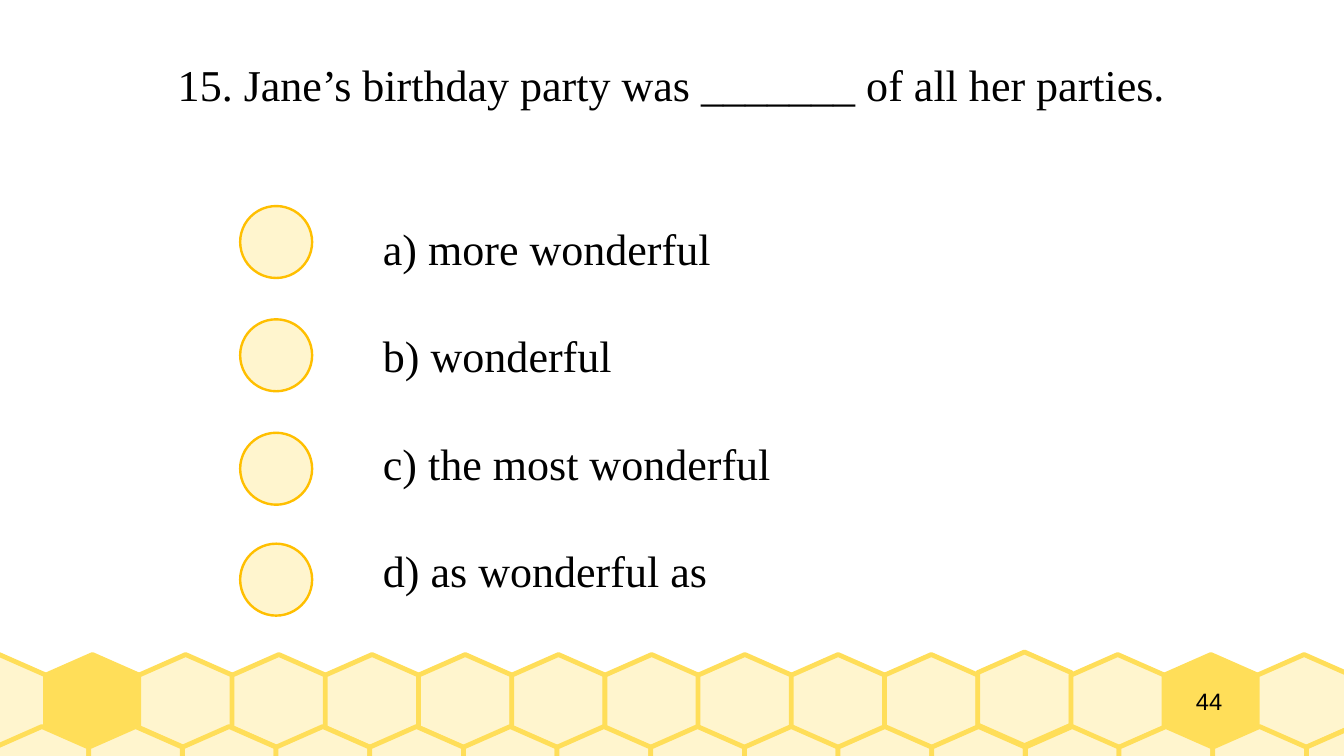
from lxml.etree import SubElement
from pptx import Presentation
from pptx.dml.color import RGBColor
from pptx.enum.shapes import MSO_SHAPE as Shape
from pptx.enum.text import MSO_ANCHOR as Anchor, MSO_AUTO_SIZE as AutoSize, PP_ALIGN as Align
from pptx.oxml.ns import qn
from pptx.util import Pt

QUESTION = "15. Jane’s birthday party was _______ of all her parties."
# (answer, top of its circle)
ANSWERS = [
    ("a) more wonderful", 121.7),
    ("b) wonderful", 188.6),
    ("c) the most wonderful", 255.6),
    ("d) as wonderful as", 321.1),
]
PAGE_NUMBER = "44"

BLACK = RGBColor(0x00, 0x00, 0x00)
CREAM = RGBColor(0xFF, 0xF5, 0xCE)
HONEY = RGBColor(0xFF, 0xDE, 0x59)
AMBER = RGBColor(0xFF, 0xBF, 0x00)

CELL_SIZE, CELL_SHOULDER = 55.3, 12.2
CELLS_PER_ROW = 15
# (left, top, pitch, filled cells, raised cells)
COMB_ROWS = [
    (-28.1, 386.6, 55.03, {1, 13}, {11}),
    (-2.9, 429.1, 55.3, set(), set()),
]
CELL_RAISE = 1.5


def paint(shape, fill, line, width):
    shape.shadow.inherit = False
    shape.fill.solid()
    shape.fill.fore_color.rgb = fill
    shape.line.color.rgb = line
    shape.line.width = Pt(width)


def add_cell(page, left, top, fill):
    middle, right = left + CELL_SIZE / 2, left + CELL_SIZE
    upper, bottom = top + CELL_SHOULDER, top + CELL_SIZE
    lower = bottom - CELL_SHOULDER
    corners = [(left, upper), (left, lower), (middle, bottom), (right, lower), (right, upper)]
    builder = page.shapes.build_freeform(Pt(middle), Pt(top))
    builder.add_line_segments([(Pt(x), Pt(y)) for x, y in corners], close=True)
    paint(builder.convert_to_shape(), fill, HONEY, 2.83)


def place(box, left, top, width, height):
    box.left, box.top, box.width, box.height = Pt(left), Pt(top), Pt(width), Pt(height)


def write(box, lines, font, size, align, anchor):
    frame = box.text_frame
    frame.text = "\n".join(lines)
    frame.word_wrap = True
    frame.auto_size = AutoSize.NONE
    frame.vertical_anchor = anchor
    frame.margin_left = frame.margin_right = frame.margin_top = frame.margin_bottom = 0
    for para in frame.paragraphs:
        para.alignment = align
        para.space_before = Pt(0)
        for span in para.runs:
            span.font.name, span.font.size = font, Pt(size)
            span.font.color.rgb = BLACK


deck = Presentation()
deck.slide_width, deck.slide_height = Pt(793.5), Pt(446.5)
page = deck.slides.add_slide(deck.slide_layouts[1])

for left, top, pitch, filled, raised in COMB_ROWS:
    for index in range(CELLS_PER_ROW):
        cell_top = top - CELL_RAISE if index in raised else top
        add_cell(page, left + index * pitch, cell_top, HONEY if index in filled else CREAM)

number = page.shapes.add_textbox(Pt(668.9), Pt(386.6), Pt(90), Pt(55.3))
write(number, [PAGE_NUMBER], "Arial", 14, Align.CENTER, Anchor.MIDDLE)

title = page.shapes.title
place(title, 42.5, 13, 708.5, 72.7)
write(title, [QUESTION], "Times New Roman", 26, Align.CENTER, Anchor.MIDDLE)

body = page.placeholders[1]
place(body, 226.1, 127.4, 538.6, 226.8)
write(body, [answer for answer, _ in ANSWERS], "Times New Roman", 26, Align.LEFT, Anchor.TOP)
body.text_frame.margin_top = Pt(3.4)
for para in body.text_frame.paragraphs:
    para.space_after = Pt(32.2)
    properties = para._p.get_or_add_pPr()
    properties.set("marL", "0")
    properties.set("indent", "0")
    SubElement(properties, qn("a:buNone"))

for _, top in ANSWERS:
    circle = page.shapes.add_shape(Shape.OVAL, Pt(141.8), Pt(top), Pt(42.5), Pt(42.5))
    paint(circle, CREAM, AMBER, 1.42)

deck.save("out.pptx")
